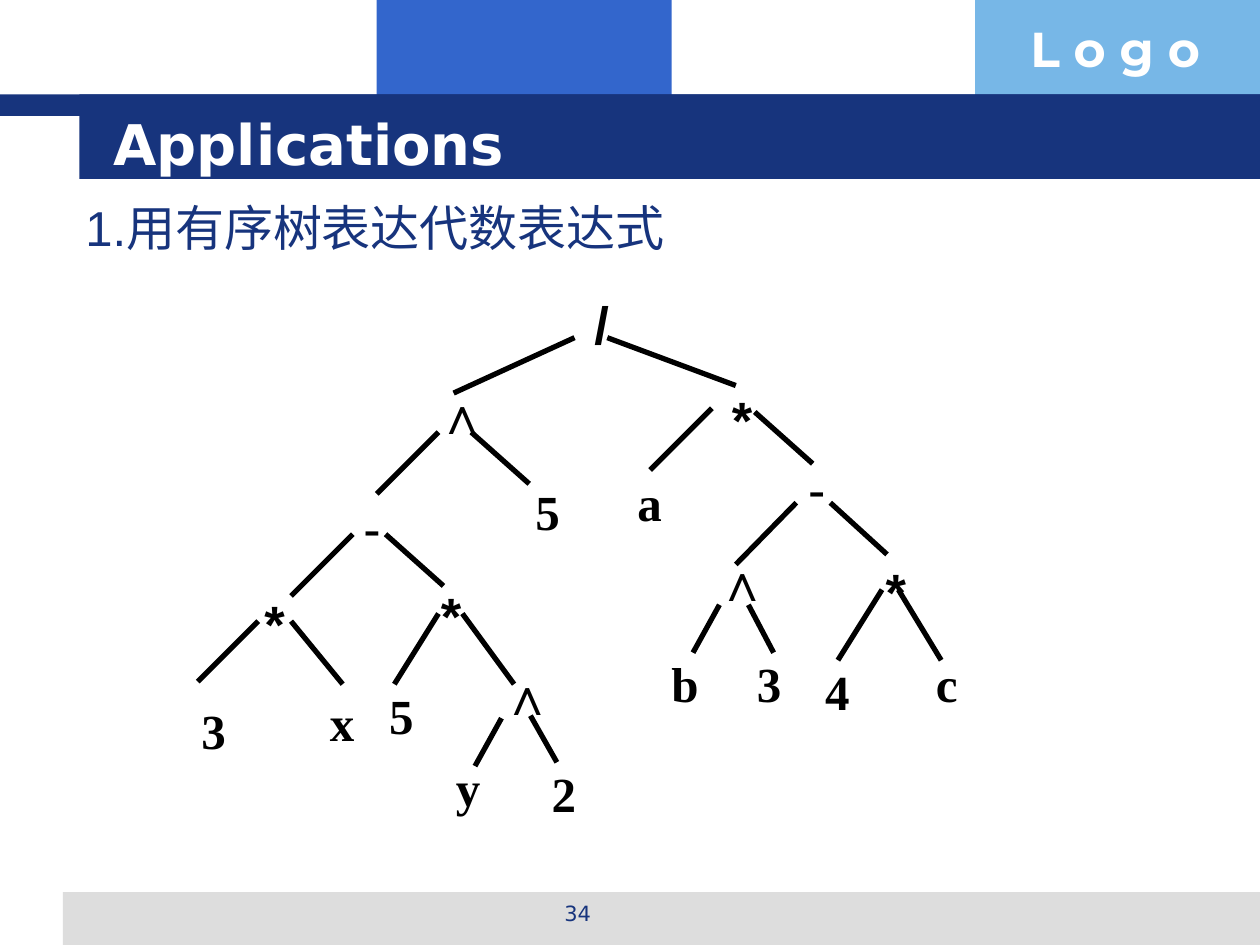
import pptx
import pptx.util
import pptx.dml.color
import pptx.enum.shapes
import pptx.enum.text
import lxml.etree
from pptx.util import Inches

RGB = pptx.dml.color.RGBColor
NAVY = RGB(0x17, 0x34, 0x7D)
BLUE = RGB(0x33, 0x66, 0xCC)
SKY = RGB(0x77, 0xB7, 0xE7)
GREY = RGB(0xDD, 0xDD, 0xDD)
WHITE = RGB(0xFF, 0xFF, 0xFF)
BLACK = RGB(0, 0, 0)

HEAD = "DejaVu Sans"
BODY = "Arial"
LEAF = "Times New Roman"


class Deck:
    """Holds the style and the current slide."""

    def __init__(self):
        self.file = pptx.Presentation()
        self.file.slide_width = Inches(10)
        self.file.slide_height = Inches(7.5)
        self.slide = self.file.slides.add_slide(self.file.slide_layouts[5])
        self.shapes = self.slide.shapes

    def bar(self, x, y, w, h, color):
        kind = pptx.enum.shapes.MSO_SHAPE.RECTANGLE
        box = self.shapes.add_shape(
            kind, Inches(x), Inches(y), Inches(w), Inches(h))
        box.shadow.inherit = False
        box.fill.solid()
        box.fill.fore_color.rgb = color
        box.line.fill.background()

    def style(self, box, words, size, font, color, bold, align):
        frame = box.text_frame
        frame.word_wrap = True
        frame.auto_size = pptx.enum.text.MSO_AUTO_SIZE.NONE
        frame.vertical_anchor = pptx.enum.text.MSO_ANCHOR.TOP
        frame.margin_top = Inches(0.07)
        frame.text = words
        par = frame.paragraphs[0]
        par.alignment = align
        par.font.size = pptx.util.Pt(size)
        par.font.name = font
        par.font.bold = bold
        par.font.color.rgb = color

    def text(self, x, y, w, h, words, size, font, color, bold=False,
             align=pptx.enum.text.PP_ALIGN.LEFT):
        box = self.shapes.add_textbox(
            Inches(x), Inches(y), Inches(w), Inches(h))
        self.style(box, words, size, font, color, bold, align)

    def title(self, x, y, w, h, words):
        box = self.shapes.title
        box.left, box.top = Inches(x), Inches(y)
        box.width, box.height = Inches(w), Inches(h)
        self.style(box, words, 32, HEAD, WHITE, True,
                   pptx.enum.text.PP_ALIGN.LEFT)
        # Bring the title in front of the bars
        box.element.getparent().append(box.element)

    def edge(self, x1, y1, x2, y2):
        line = self.shapes.add_connector(
            pptx.enum.shapes.MSO_CONNECTOR.STRAIGHT,
            Inches(x1), Inches(y1), Inches(x2), Inches(y2))
        line.line.color.rgb = BLACK
        line.line.width = pptx.util.Pt(3)
        lxml.etree.SubElement(line.element.spPr,
                              pptx.oxml.ns.qn("a:effectLst"))

    def node(self, sign, x, y):
        if sign in WIDTHS:
            self.text(x, y, WIDTHS[sign], 0.45, sign, 30, BODY, BLACK, True)
        else:
            self.text(x, y, 0.33, 0.43, sign, 28, LEAF, BLACK, True)


# Box widths of the operators
WIDTHS = {"/": 0.26, "*": 0.3, "∧": 0.37}

# Sign, left, top; level by level
NODES = [
    ("/", 4.62, 2.25),
    ("∧", 3.37, 2.96), ("*", 5.71, 3),
    ("-", 2.79, 3.87), ("5", 4.15, 3.75), ("a", 4.96, 3.68), ("-", 6.32, 3.56),
    ("*", 2, 4.62), ("*", 3.4, 4.56), ("∧", 5.59, 4.29), ("*", 6.93, 4.37),
    ("3", 1.5, 5.49), ("x", 2.52, 5.43), ("5", 2.99, 5.37), ("∧", 3.88, 5.19),
    ("b", 5.23, 5.12), ("3", 5.91, 5.12), ("4", 6.45, 5.18), ("c", 7.33, 5.12),
    ("y", 3.52, 5.94), ("2", 4.28, 5.99),
]

# Left and right branch of each operator
EDGES = [
    (4.56, 2.68, 3.6, 3.12), (4.82, 2.68, 5.84, 3.06),
    (3.48, 3.43, 2.99, 3.92), (3.74, 3.43, 4.2, 3.84),
    (5.65, 3.24, 5.16, 3.73), (5.99, 3.27, 6.45, 3.68),
    (2.8, 4.24, 2.31, 4.73), (3.06, 4.24, 3.52, 4.65),
    (6.32, 3.99, 5.84, 4.48), (6.59, 3.99, 7.04, 4.4),
    (2.05, 4.93, 1.57, 5.41), (2.31, 4.93, 2.72, 5.43),
    (3.48, 4.87, 3.13, 5.43), (3.67, 4.87, 4.08, 5.43),
    (5.71, 4.8, 5.5, 5.18), (5.94, 4.8, 6.14, 5.18),
    (7, 4.68, 6.65, 5.24), (7.13, 4.68, 7.47, 5.24),
    (3.98, 5.7, 3.77, 6.08), (4.21, 5.68, 4.42, 6.05),
]


def main():
    deck = Deck()

    # Header and footer bars
    deck.bar(2.99, 0, 2.34, 0.92, BLUE)
    deck.bar(7.74, 0, 2.26, 0.92, SKY)
    deck.bar(0.5, 7.08, 9.5, 0.42, GREY)
    deck.bar(0, 0.75, 10, 0.17, NAVY)
    deck.bar(0.63, 0.75, 9.37, 0.67, NAVY)

    # Header, page number and heading
    deck.text(8.08, 0.08, 1.93, 0.57, "L o g o", 28, "Montserrat", WHITE, True)
    deck.text(3.42, 7.08, 2.33, 0.35, "34", 12, HEAD, NAVY,
              align=pptx.enum.text.PP_ALIGN.CENTER)
    deck.title(0.8, 0.8, 8.53, 0.62, "Applications")
    deck.text(0.58, 1.5, 8.58, 0.57, "1.用有序树表达代数表达式", 28, BODY, NAVY)

    # Expression tree
    for ends in EDGES:
        deck.edge(*ends)
    for spot in NODES:
        deck.node(*spot)

    deck.file.save("out.pptx")


if __name__ == "__main__":
    main()
